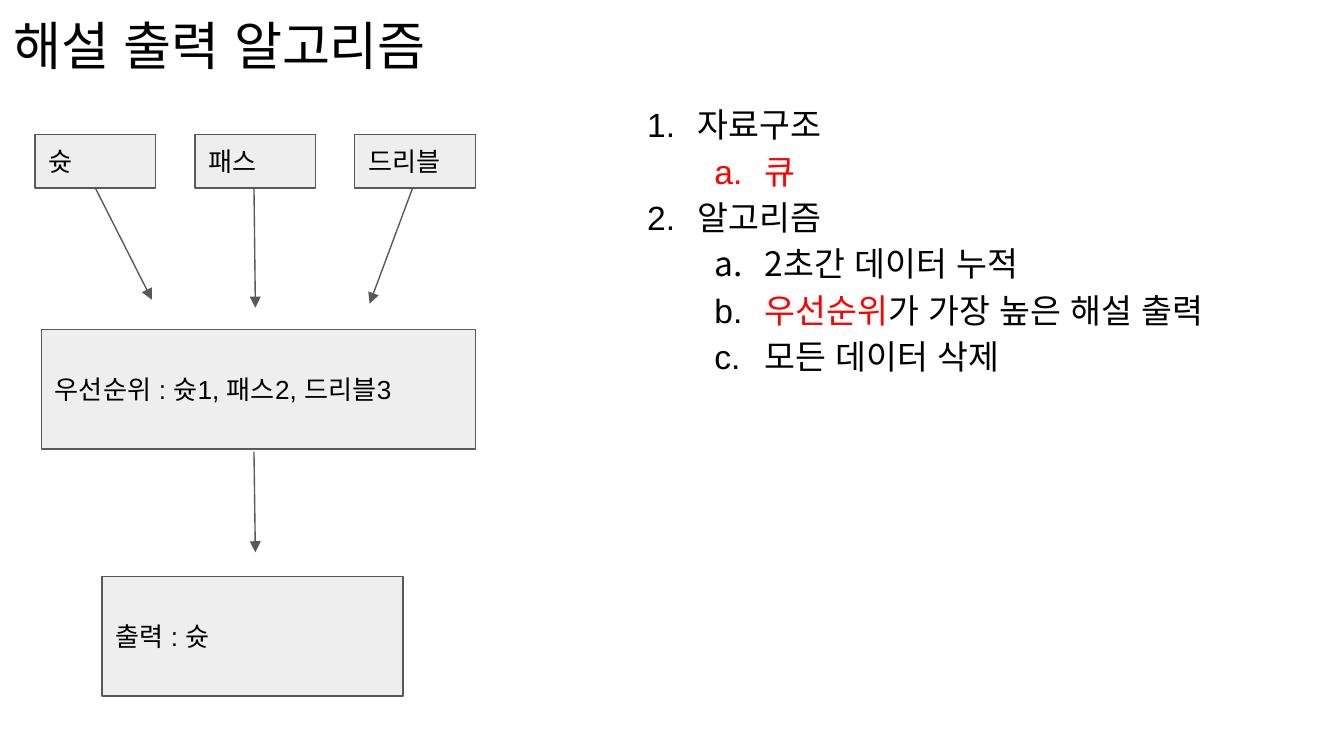
from lxml.etree import SubElement
from pptx import Presentation
from pptx.dml.color import RGBColor
from pptx.enum.shapes import MSO_CONNECTOR, MSO_SHAPE
from pptx.enum.text import MSO_ANCHOR, MSO_AUTO_SIZE, PP_ALIGN
from pptx.oxml.ns import qn
from pptx.util import Inches, Pt

SLIDE_WIDTH = 10
SLIDE_HEIGHT = SLIDE_WIDTH * 9 / 16
BLACK, RED, GRAY, LIGHT = "000000", "FF0000", "595959", "EEEEEE"
BASE_FONT, BODY_FONT = "Arial", "Noto Sans CJK KR"
TITLE = "해설 출력 알고리즘"
OUTLINE = [
    (0, [("자료구조", BLACK)]),
    (1, [("큐", RED)]),
    (0, [("알고리즘", BLACK)]),
    (1, [("2초간 데이터 누적", BLACK)]),
    (1, [("우선순위", RED), ("가 가장 높은 해설 출력", BLACK)]),
    (1, [("모든 데이터 삭제", BLACK)]),
]
NUMBERING = ["arabicPeriod", "alphaLcPeriod"]
EVENTS = ["슛", "패스", "드리블"]
EVENT_LEFT, EVENT_STEP, EVENT_TOP = 0.26, 1.19, 1
EVENT_WIDTH, EVENT_HEIGHT = 0.9, 0.4
STAGES = [
    ("우선순위 : 슛1, 패스2, 드리블3", 0.31, 2.45, 3.23),
    ("출력 : 슛", 0.76, 4.29, 2.24),
]
STAGE_HEIGHT = 0.89
ARROWS = [
    ((0.71, 1.4), (1.13, 2.23)),
    ((1.89, 1.4), (1.9, 2.29)),
    ((3.07, 1.4), (2.75, 2.26)),
    ((1.89, 3.36), (1.9, 4.11)),
]


def color(value):
    return RGBColor.from_string(value)


def prepare_frame(frame, anchor):
    frame.word_wrap = True
    frame.auto_size = MSO_AUTO_SIZE.NONE
    frame.vertical_anchor = anchor
    frame.margin_left = frame.margin_right = Inches(0.1)
    frame.margin_top = frame.margin_bottom = Inches(0.1)


def add_run(paragraph, text, size, font_name=BASE_FONT, text_color=BLACK):
    run = paragraph.add_run()
    run.text = text
    run.font.size = Pt(size)
    run.font.name = font_name
    run.font.color.rgb = color(text_color)
    SubElement(run.font._element, qn("a:ea"), typeface=BASE_FONT)


def place(shape, left, top, width, height):
    shape.left, shape.top = Inches(left), Inches(top)
    shape.width, shape.height = Inches(width), Inches(height)


def add_number(paragraph, level, number_color):
    properties = paragraph._p.get_or_add_pPr()
    properties.set("marL", str(Inches(0.5 * (level + 1))))
    properties.set("indent", str(Pt(-27)))
    bullet_color = SubElement(properties, qn("a:buClr"))
    SubElement(bullet_color, qn("a:srgbClr"), val=number_color)
    SubElement(properties, qn("a:buFont"), typeface=BODY_FONT)
    SubElement(properties, qn("a:buAutoNum"), type=NUMBERING[level])


def add_box(slide, text, left, top, width, height):
    shape = slide.shapes.add_shape(
        MSO_SHAPE.RECTANGLE, Inches(left), Inches(top), Inches(width), Inches(height))
    shape.shadow.inherit = False
    shape.fill.solid()
    shape.fill.fore_color.rgb = color(LIGHT)
    shape.line.color.rgb = color(GRAY)
    shape.line.width = Pt(0.75)
    prepare_frame(shape.text_frame, MSO_ANCHOR.MIDDLE)
    paragraph = shape.text_frame.paragraphs[0]
    paragraph.alignment = PP_ALIGN.LEFT
    add_run(paragraph, text, 14)


def add_arrow(slide, start, end):
    arrow = slide.shapes.add_connector(
        MSO_CONNECTOR.STRAIGHT, *[Inches(length) for length in (*start, *end)])
    arrow.line.color.rgb = color(GRAY)
    arrow.line.width = Pt(0.75)
    SubElement(arrow.line._get_or_add_ln(), qn("a:tailEnd"), type="triangle")
    SubElement(arrow._element.spPr, qn("a:effectLst"))


def fill_title(shape):
    place(shape, 0, 0, 9.32, 0.63)
    prepare_frame(shape.text_frame, MSO_ANCHOR.TOP)
    paragraph = shape.text_frame.paragraphs[0]
    paragraph.alignment = PP_ALIGN.LEFT
    add_run(paragraph, TITLE, 28)


def fill_outline(shape):
    place(shape, 4.59, 0.63, 4.73, 3.74)
    frame = shape.text_frame
    prepare_frame(frame, MSO_ANCHOR.TOP)
    for index, (level, runs) in enumerate(OUTLINE):
        paragraph = frame.add_paragraph() if index else frame.paragraphs[0]
        paragraph.level = level
        add_number(paragraph, level, runs[-1][1])
        paragraph.line_spacing = 1.15
        paragraph.space_before = Pt(0)
        for text, text_color in runs:
            add_run(paragraph, text, 18, BODY_FONT, text_color)


def main():
    presentation = Presentation()
    presentation.slide_width = Inches(SLIDE_WIDTH)
    presentation.slide_height = Inches(SLIDE_HEIGHT)
    slide = presentation.slides.add_slide(presentation.slide_layouts[1])
    fill_title(slide.shapes.title)
    fill_outline(slide.placeholders[1])
    for index, event in enumerate(EVENTS):
        left = EVENT_LEFT + index * EVENT_STEP
        add_box(slide, event, left, EVENT_TOP, EVENT_WIDTH, EVENT_HEIGHT)
    for text, left, top, width in STAGES:
        add_box(slide, text, left, top, width, STAGE_HEIGHT)
    for start, end in ARROWS:
        add_arrow(slide, start, end)
    presentation.save("out.pptx")


if __name__ == "__main__":
    main()
